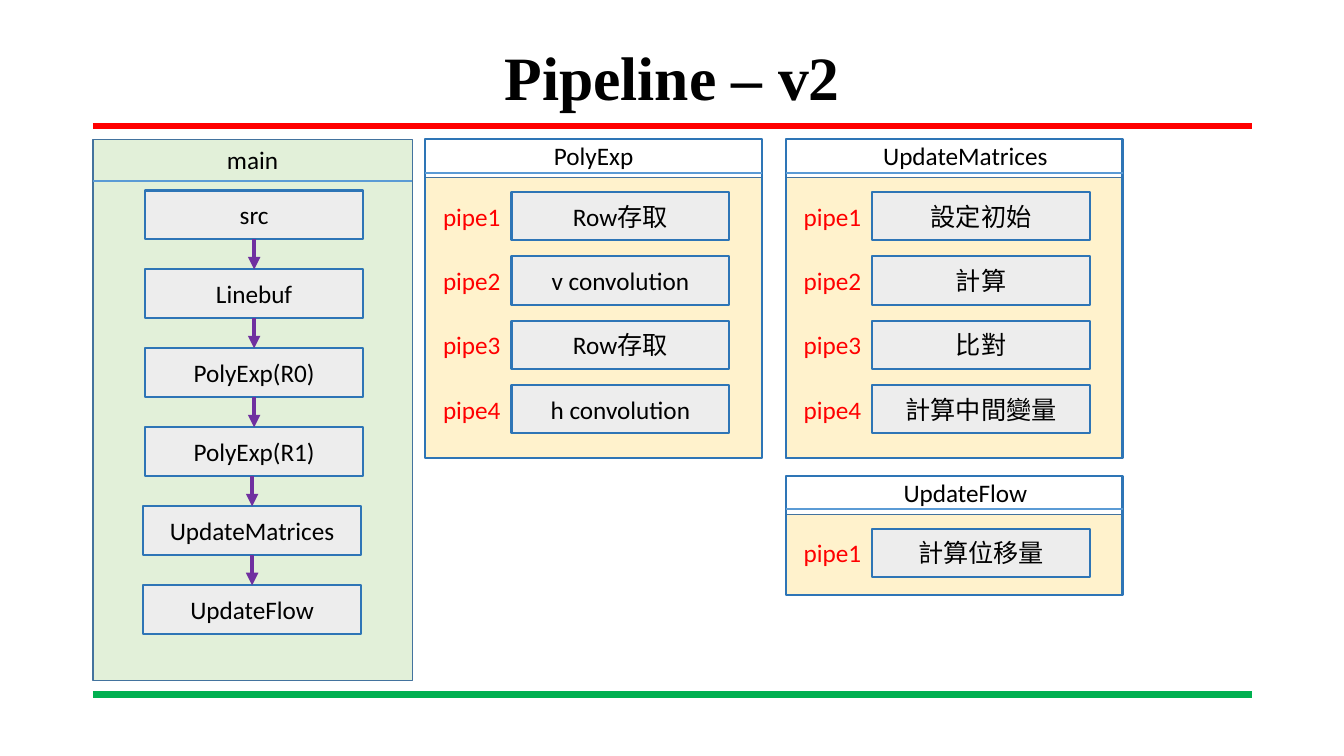
from lxml import etree
from pptx import Presentation
from pptx import util as u
from pptx.dml import color
from pptx.enum import shapes, text
from pptx.oxml import ns

COLOURS = {
    "black": "000000", "red": "FF0000", "green": "00B050", "purple": "7030A0",
    "main": "E2F0D9", "body": "FFF2CC", "box": "EDEDED",
    "panel_line": "43739E", "box_line": "2E75B6", "divider": "5B9BD5",
}
BOX_WIDTH, BOX_HEIGHT = 5.49, 1.22
PANEL_WIDTH, PANEL_TOP = 8.48, 3.51


def rgb(name):
    """Return the named colour."""
    return color.RGBColor.from_string(COLOURS[name])


def write(shape, wording, size=18, font="Calibri", colour="black", bold=False):
    """Write one centred run in the middle of a shape."""
    frame = shape.text_frame
    frame.vertical_anchor = text.MSO_ANCHOR.MIDDLE
    paragraph = frame.paragraphs[0]
    paragraph.alignment = text.PP_ALIGN.CENTER
    run = paragraph.add_run()
    run.text = wording
    run.font.size = u.Pt(size)
    run.font.name = font
    run.font.bold = bold
    run.font.color.rgb = rgb(colour)
    return paragraph


def add_line(slide, start, end, colour, width, arrow=False):
    """Draw a straight line, with an arrowhead at its end if asked."""
    points = [u.Cm(value) for value in (*start, *end)]
    line = slide.shapes.add_connector(shapes.MSO_CONNECTOR.STRAIGHT, *points)
    line.line.color.rgb = rgb(colour)
    line.line.width = u.Pt(width)
    if arrow:
        outline = line.line._get_or_add_ln()
        etree.SubElement(outline, ns.qn("a:tailEnd"), type="triangle")
    etree.SubElement(line._element.spPr, ns.qn("a:effectLst"))


def add_rectangle(slide, left, top, width, height, fill, outline, weight):
    """Draw a rectangle, left unfilled when fill is None."""
    place = [u.Cm(value) for value in (left, top, width, height)]
    shape = slide.shapes.add_shape(shapes.MSO_SHAPE.RECTANGLE, *place)
    shape.shadow.inherit = False
    if fill:
        shape.fill.solid()
        shape.fill.fore_color.rgb = rgb(fill)
    else:
        shape.fill.background()
    shape.line.color.rgb = rgb(outline)
    shape.line.width = u.Pt(weight)
    return shape


def add_box(slide, left, top, wording):
    """Draw a grey step box with its wording."""
    box = add_rectangle(slide, left, top, BOX_WIDTH, BOX_HEIGHT, "box", "box_line", 1.5)
    write(box, wording)


def add_label(slide, left, top, width, height, wording, **style):
    """Add a text box with one centred line."""
    place = [u.Cm(value) for value in (left, top, width, height)]
    label = slide.shapes.add_textbox(*place)
    label.text_frame.word_wrap = True
    return write(label, wording, **style)


def add_main(slide, steps):
    """Draw the main panel with its chain of steps."""
    left, width, pitch = 2.34, 8.05, 1.99
    add_rectangle(slide, left, PANEL_TOP, width, 13.64, "main", "panel_line", 1)
    add_line(slide, (left, 4.55), (left + width, 4.55), "divider", 1.5)
    add_label(slide, left, PANEL_TOP, width, 1.02, "main")
    for index, step in enumerate(steps):
        box_left = 3.66 if index < 4 else 3.61
        top = 4.8 + index * pitch
        add_box(slide, box_left, top, step)
        if index:
            centre = box_left + BOX_WIDTH / 2
            start = top - pitch + BOX_HEIGHT
            add_line(slide, (centre, start), (centre, top), "purple", 3, arrow=True)


def add_panel(slide, left, top, height, title, title_shift, stages):
    """Draw a function panel with its numbered pipe stages."""
    header, divider = 0.97, top + 0.84
    add_rectangle(slide, left, top + header, PANEL_WIDTH, height - header,
                  "body", "panel_line", 1)
    add_rectangle(slide, left, top, PANEL_WIDTH, height, None, "box_line", 1.5)
    add_line(slide, (left, divider), (left + PANEL_WIDTH, divider), "divider", 1.5)
    add_label(slide, left + title_shift, top - 0.1, PANEL_WIDTH, 1.02, title)
    for index, stage in enumerate(stages):
        row_top = top + 1.33 + index * 1.62
        add_box(slide, left + 2.17, row_top, stage)
        add_label(slide, left + 0.18, row_top, 1.98, BOX_HEIGHT,
                  f"pipe{index + 1}", colour="red")


def main():
    """Build and save the pipeline slide."""
    presentation = Presentation()
    presentation.slide_width, presentation.slide_height = u.Cm(33.87), u.Cm(19.05)
    slide = presentation.slides.add_slide(presentation.slide_layouts[6])
    for height, colour in ((3.18, "red"), (17.5, "green")):
        add_line(slide, (2.34, height), (31.55, height), colour, 4.5)
    title = add_label(slide, 2.34, 1.02, 29.21, 2.01, "Pipeline – v2",
                      size=44, font="Times New Roman", bold=True)
    title.line_spacing = 0.9
    add_main(slide, ["src", "Linebuf", "PolyExp(R0)", "PolyExp(R1)",
                     "UpdateMatrices", "UpdateFlow"])
    add_panel(slide, 10.72, PANEL_TOP, 8.03, "PolyExp", 0,
              ["Row存取", "v convolution", "Row存取", "h convolution"])
    add_panel(slide, 19.81, PANEL_TOP, 8.03, "UpdateMatrices", 0.28,
              ["設定初始", "計算", "比對", "計算中間變量"])
    add_panel(slide, 19.81, 11.99, 3, "UpdateFlow", 0.28, ["計算位移量"])
    presentation.save("out.pptx")


main()
